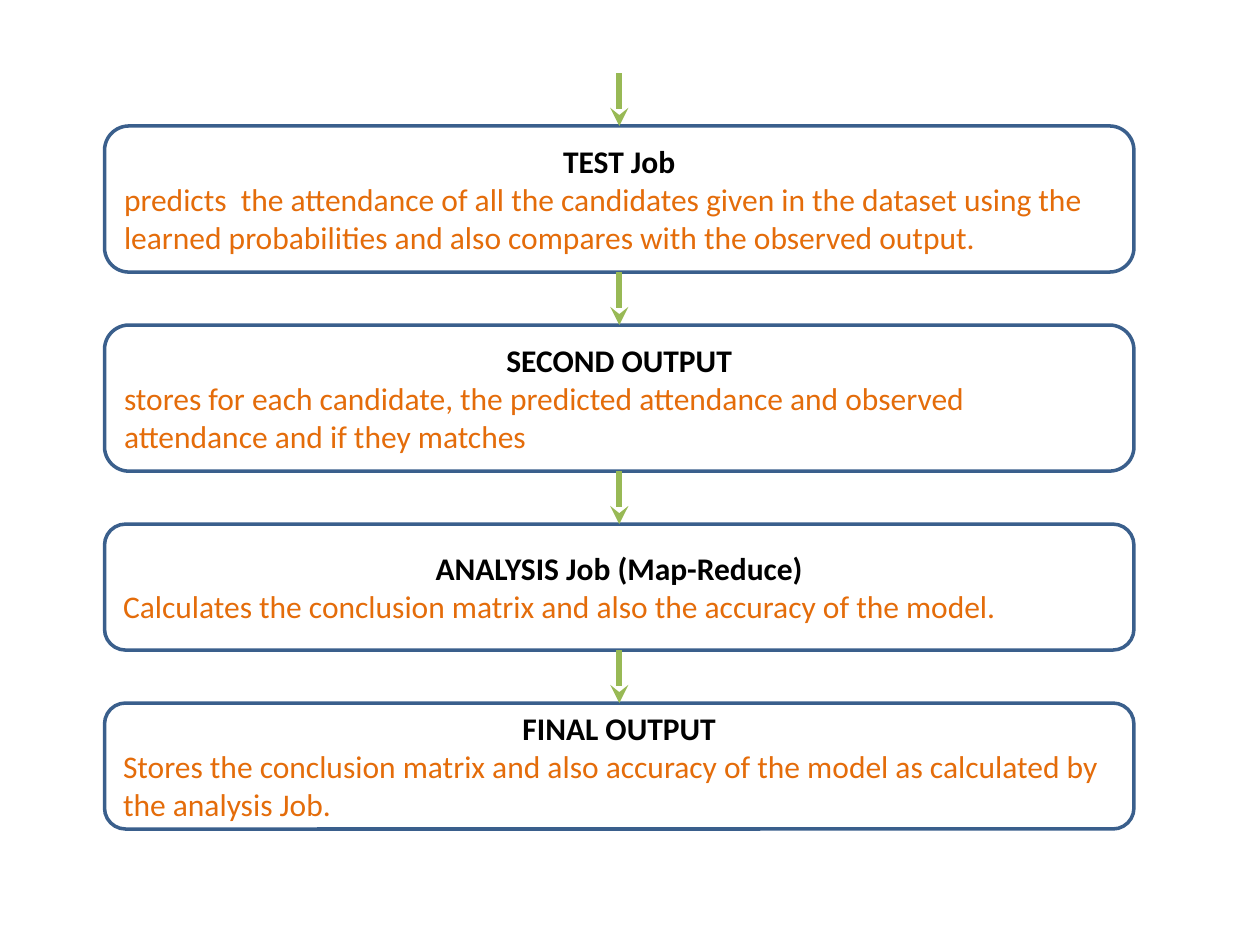
from dataclasses import dataclass

from lxml import etree
from pptx import Presentation
from pptx.dml.color import RGBColor
from pptx.enum.shapes import MSO_CONNECTOR, MSO_SHAPE
from pptx.enum.text import MSO_ANCHOR, PP_ALIGN
from pptx.oxml.ns import qn
from pptx.util import Inches, Pt

ROUNDED = MSO_SHAPE.ROUNDED_RECTANGLE
STRAIGHT = MSO_CONNECTOR.STRAIGHT
MIDDLE = MSO_ANCHOR.MIDDLE
CENTER = PP_ALIGN.CENTER
LEFT = PP_ALIGN.LEFT
TOP_SITE, BOTTOM_SITE = 0, 2

BOX_LEFT, BOX_WIDTH = 0.83, 8.17
FIRST_TOP, GAP = 1, 0.42

STAGES = [
    ("TEST Job",
     "predicts  the attendance of all the candidates given in the dataset "
     "using the learned probabilities and also compares with the observed output.",
     1.16),
    ("SECOND OUTPUT",
     "stores for each candidate, the predicted attendance and observed "
     "attendance and if they matches",
     1.16),
    ("ANALYSIS Job (Map-Reduce)",
     "Calculates the conclusion matrix and also the accuracy of the model.",
     1),
    ("FINAL OUTPUT",
     "Stores the conclusion matrix and also accuracy of the model as "
     "calculated by the analysis Job.",
     1),
]


@dataclass(frozen=True)
class Theme:
    """Colours, font and sizes of the slide."""
    font: str = "Calibri"
    text_size: Pt = Pt(18)
    box_line: Pt = Pt(2)
    arrow_line: Pt = Pt(3.5)
    fill: RGBColor = RGBColor.from_string("FFFFFF")
    border: RGBColor = RGBColor.from_string("3A5F8C")
    title: RGBColor = RGBColor.from_string("000000")
    body: RGBColor = RGBColor.from_string("E46C0A")
    arrow: RGBColor = RGBColor.from_string("98B955")


THEME = Theme()


def format_paragraph(paragraph, alignment, color, bold):
    """Align a paragraph and set the font of its runs."""
    paragraph.alignment = alignment
    for run in paragraph.runs:
        run.font.name = THEME.font
        run.font.size = THEME.text_size
        run.font.bold = bold
        run.font.color.rgb = color


def add_stage(slide, top, title, description, height):
    """Add a rounded box with a centred title above its description."""
    shape = slide.shapes.add_shape(
        ROUNDED, Inches(BOX_LEFT), Inches(top), Inches(BOX_WIDTH), Inches(height))
    shape.shadow.inherit = False
    shape.fill.solid()
    shape.fill.fore_color.rgb = THEME.fill
    shape.line.color.rgb = THEME.border
    shape.line.width = THEME.box_line
    text_frame = shape.text_frame
    text_frame.word_wrap = True
    text_frame.vertical_anchor = MIDDLE
    text_frame.text = f"{title}\n{description}"
    heading, body = text_frame.paragraphs
    format_paragraph(heading, CENTER, THEME.title, True)
    format_paragraph(body, LEFT, THEME.body, False)
    return shape


def add_arrow(slide, previous, stage):
    """Add an arrow down into a stage, from the previous one if there is one."""
    center = stage.left + stage.width // 2
    connector = slide.shapes.add_connector(
        STRAIGHT, center, stage.top - Inches(GAP), center, stage.top)
    if previous is not None:
        connector.begin_connect(previous, BOTTOM_SITE)
    connector.end_connect(stage, TOP_SITE)
    connector.line.color.rgb = THEME.arrow
    connector.line.width = THEME.arrow_line
    etree.SubElement(connector.line._get_or_add_ln(), qn("a:tailEnd"), type="stealth")
    etree.SubElement(connector._element.spPr, qn("a:effectLst"))


def main():
    """Build the flow of stages and save the presentation."""
    presentation = Presentation()
    presentation.slide_width = Inches(10)
    presentation.slide_height = Inches(7.5)
    slide = presentation.slides.add_slide(presentation.slide_layouts[6])
    top = FIRST_TOP
    previous = None
    for title, description, height in STAGES:
        stage = add_stage(slide, top, title, description, height)
        add_arrow(slide, previous, stage)
        previous = stage
        top += height + GAP
    presentation.save("out.pptx")


if __name__ == "__main__":
    main()
